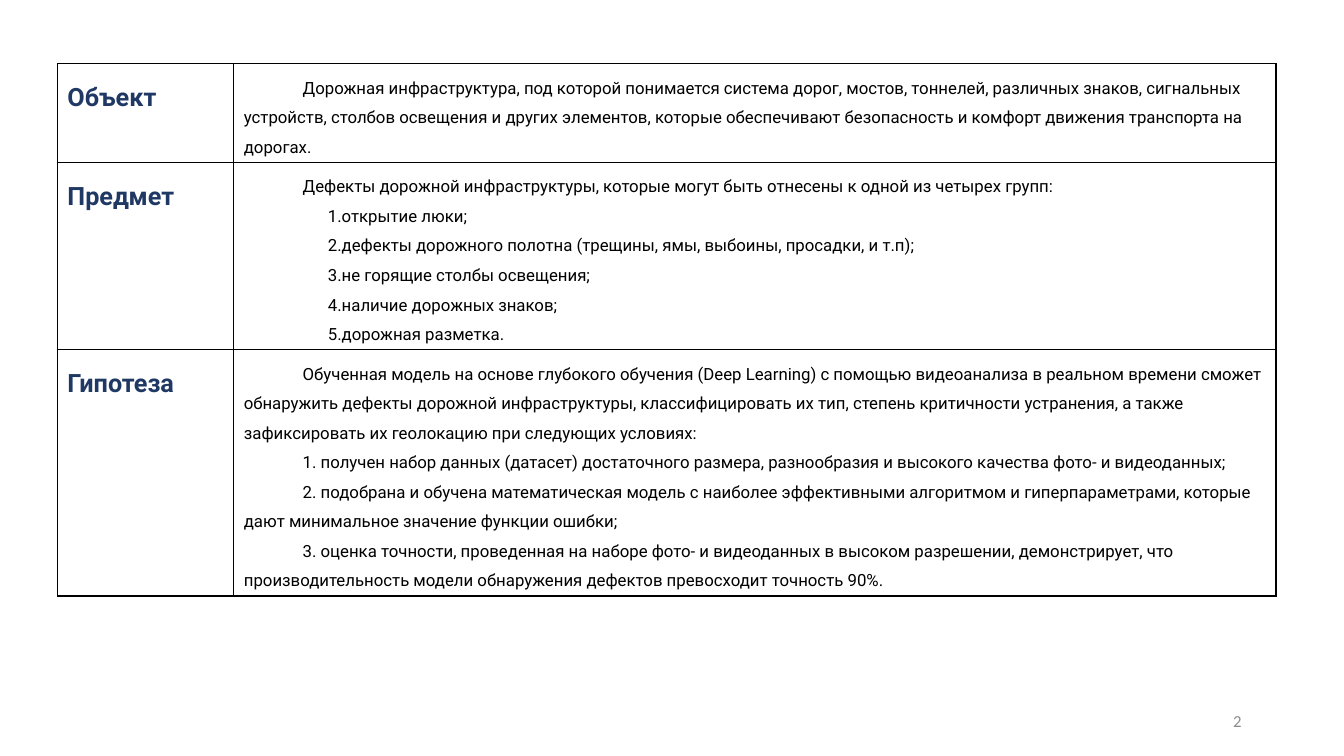
import pptx
import pptx.dml.color
import pptx.enum.text
import pptx.oxml
import pptx.oxml.ns
import pptx.util

Pt = pptx.util.Pt
RGBColor = pptx.dml.color.RGBColor
Align = pptx.enum.text.PP_ALIGN
Anchor = pptx.enum.text.MSO_ANCHOR

NAVY = RGBColor(0x20, 0x38, 0x64)
BLACK = RGBColor(0, 0, 0)
GREY = RGBColor(0x8C, 0x8C, 0x8C)

FIRST_LINE = {"indent": 42}
BLOCK = {"margin": 42}
NUMBERED = {"margin": 42, "indent": 18, "numbered": True}

SECTIONS = [
    ("Объект", 70.5, [
        ("Дорожная инфраструктура, под которой понимается система дорог, мостов, тоннелей, "
         "различных знаков, сигнальных устройств, столбов освещения и других элементов, "
         "которые обеспечивают безопасность и комфорт движения транспорта на дорогах.", FIRST_LINE),
    ]),
    ("Предмет", 133.5, [
        ("Дефекты дорожной инфраструктуры, которые могут быть отнесены к одной из "
         "четырех групп:", BLOCK),
        ("открытие люки;", NUMBERED),
        ("дефекты дорожного полотна (трещины, ямы, выбоины, просадки, и т.п);", NUMBERED),
        ("не горящие столбы освещения;", NUMBERED),
        ("наличие дорожных знаков;", NUMBERED),
        ("дорожная разметка.", NUMBERED),
    ]),
    ("Гипотеза", 176, [
        ("Обученная модель на основе глубокого обучения (Deep Learning) с помощью "
         "видеоанализа в реальном времени сможет обнаружить дефекты дорожной инфраструктуры, "
         "классифицировать их тип, степень критичности устранения, а также зафиксировать их "
         "геолокацию при следующих условиях:", FIRST_LINE),
        ("1. получен набор данных (датасет) достаточного размера, разнообразия и высокого "
         "качества фото- и видеоданных;", FIRST_LINE),
        ("2. подобрана и обучена математическая модель с наиболее эффективными алгоритмом и "
         "гиперпараметрами, которые дают минимальное значение функции ошибки;", FIRST_LINE),
        ("3. оценка точности, проведенная на наборе фото- и видеоданных в высоком разрешении, "
         "демонстрирует, что производительность модели обнаружения дефектов превосходит "
         "точность 90%.", FIRST_LINE),
    ]),
]


class SlideWriter:
    """Holds the text style and the current slide and adds elements to it."""

    def __init__(self, slide, font="Roboto", line_spacing=1.5):
        self.slide = slide
        self.font = font
        self.line_spacing = line_spacing

    def run(self, paragraph, text, size, color, bold=False, font=None):
        run = paragraph.add_run()
        run.text = text
        run.font.name = font or self.font
        run.font.size = Pt(size)
        run.font.bold = bold
        run.font.color.rgb = color

    def layout(self, paragraph, margin=0, indent=0, numbered=False):
        paragraph.line_spacing = self.line_spacing
        properties = paragraph._p.get_or_add_pPr()
        properties.set("marL", str(Pt(margin)))
        properties.set("indent", str(Pt(indent)))
        if numbered:
            properties.append(pptx.oxml.parse_xml(
                f'<a:buAutoNum {pptx.oxml.ns.nsdecls("a")} type="arabicPeriod"/>'))

    def cell(self, cell, paragraphs, size, color, bold=False):
        cell.fill.background()
        properties = cell._tc.get_or_add_tcPr()
        for position, side in enumerate("LRTB"):
            properties.insert(position, pptx.oxml.parse_xml(
                f'<a:ln{side} {pptx.oxml.ns.nsdecls("a")} w="{Pt(1)}"><a:solidFill>'
                f'<a:srgbClr val="{BLACK}"/></a:solidFill></a:ln{side}>'))
        frame = cell.text_frame
        for number, (text, layout) in enumerate(paragraphs):
            paragraph = frame.add_paragraph() if number else frame.paragraphs[0]
            self.layout(paragraph, **layout)
            self.run(paragraph, text, size, color, bold)

    def table(self, sections, left, top, widths):
        height = sum(row_height for _, row_height, _ in sections)
        table = self.slide.shapes.add_table(
            len(sections), len(widths), Pt(left), Pt(top), Pt(sum(widths)), Pt(height)).table
        table.first_row = table.horz_banding = False
        for column, width in zip(table.columns, widths):
            column.width = Pt(width)
        for row, (heading, row_height, paragraphs) in zip(table.rows, sections):
            row.height = Pt(row_height)
            self.cell(row.cells[0], [(heading, {})], 18, NAVY, bold=True)
            self.cell(row.cells[1], paragraphs, 12, BLACK)

    def page_number(self, text, left, top, width, height):
        frame = self.slide.shapes.add_textbox(Pt(left), Pt(top), Pt(width), Pt(height)).text_frame
        frame.word_wrap = True
        frame.vertical_anchor = Anchor.MIDDLE
        frame.paragraphs[0].alignment = Align.RIGHT
        self.run(frame.paragraphs[0], text, 12, GREY, font="Calibri")


deck = pptx.Presentation()
deck.slide_width, deck.slide_height = Pt(960), Pt(540)
writer = SlideWriter(deck.slides.add_slide(deck.slide_layouts[6]))
writer.table(SECTIONS, 41, 45.5, [126, 744.5])
writer.page_number("2", 678, 500.5, 216, 28.75)
deck.save("out.pptx")
